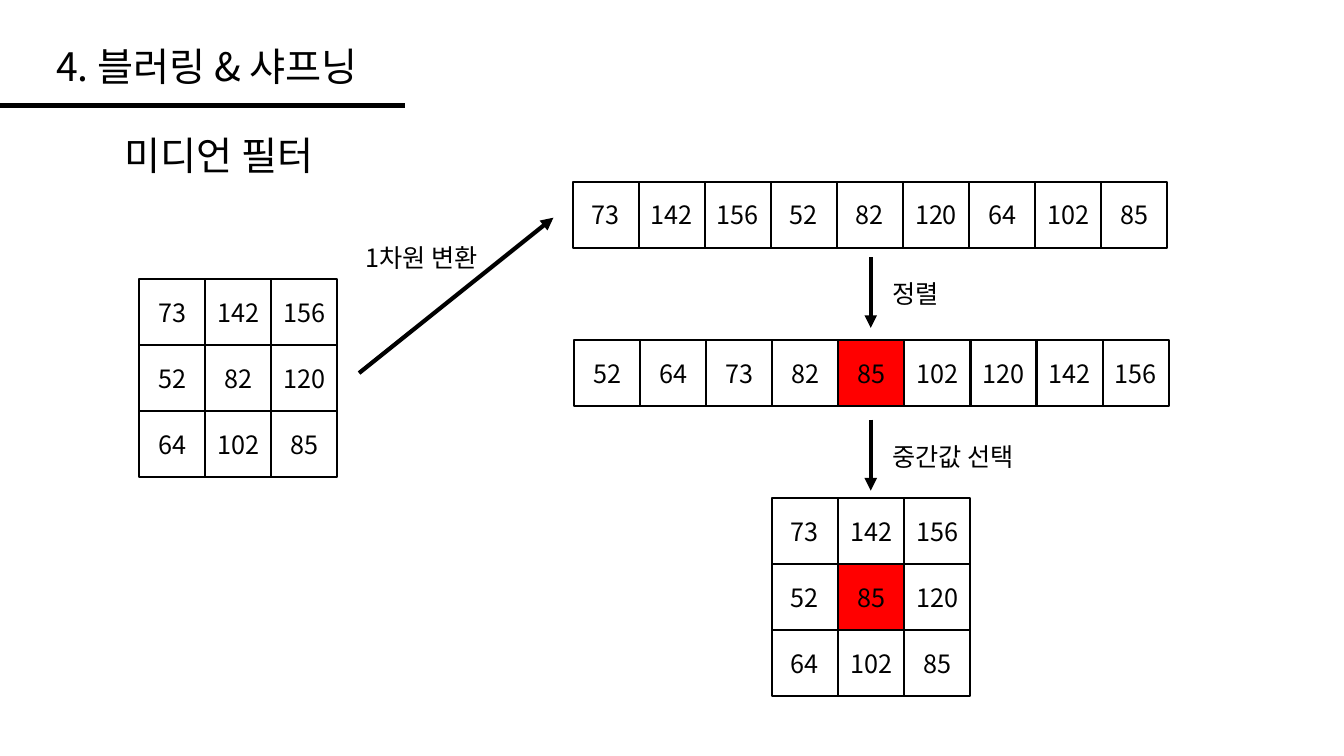
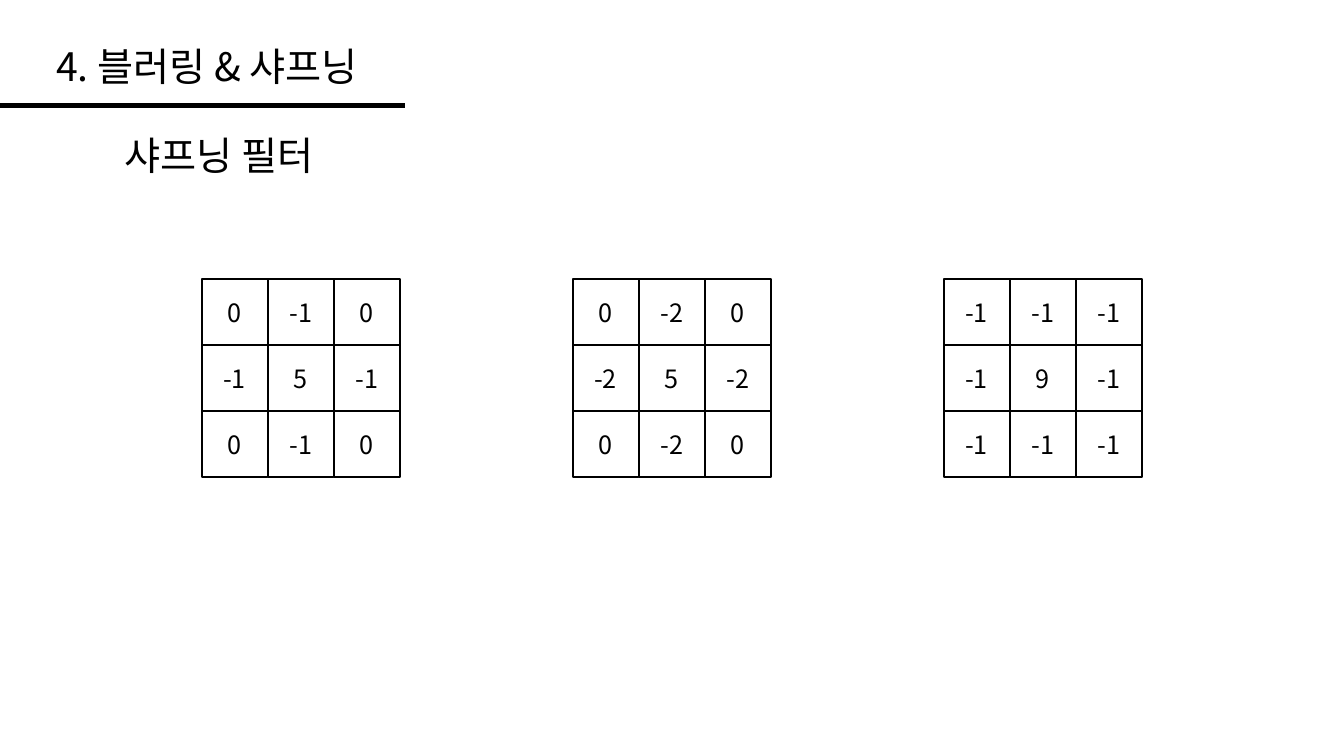
from lxml import etree
from pptx import Presentation
from pptx.dml.color import RGBColor
from pptx.enum.shapes import MSO_CONNECTOR, MSO_SHAPE
from pptx.enum.text import MSO_ANCHOR, MSO_AUTO_SIZE, PP_ALIGN
from pptx.oxml.ns import qn
from pptx.util import Pt

STRAIGHT = MSO_CONNECTOR.STRAIGHT
RECTANGLE = MSO_SHAPE.RECTANGLE
MIDDLE, TOP = MSO_ANCHOR.MIDDLE, MSO_ANCHOR.TOP
CENTER, LEFT = PP_ALIGN.CENTER, PP_ALIGN.LEFT
FIT_SHAPE = MSO_AUTO_SIZE.SHAPE_TO_FIT_TEXT

FONT = "Noto Sans CJK KR"
BLACK, WHITE, RED = "000000", "FFFFFF", "FF0000"
HEADING_SIZE, BODY_SIZE = 28, 18
CELL = 47.2
TITLE = "4. 블러링 & 샤프닝"
TITLE_ONLY = 5
MATRIX_TOP = 199.4

PIXELS = [[73, 142, 156], [52, 82, 120], [64, 102, 85]]
KERNELS = [
    [[0, -1, 0], [-1, 5, -1], [0, -1, 0]],
    [[0, -2, 0], [-2, 5, -2], [0, -2, 0]],
    [[-1, -1, -1], [-1, 9, -1], [-1, -1, -1]],
]


def color(hex_text):
    return RGBColor.from_string(hex_text)


def write(shape, text, size, align=CENTER, anchor=TOP):
    frame = shape.text_frame
    frame.word_wrap = True
    frame.vertical_anchor = anchor
    frame.text = text
    para = frame.paragraphs[0]
    para.alignment = align
    for span in para.runs:
        span.font.size = Pt(size)
        span.font.color.rgb = color(BLACK)
        span.font.name = FONT
        east_asian = etree.SubElement(span.font._element, qn("a:ea"))
        east_asian.set("typeface", FONT)


def add_label(page, text, left, top, width, height=29.1, size=BODY_SIZE, align=CENTER):
    box = page.shapes.add_textbox(Pt(left), Pt(top), Pt(width), Pt(height))
    write(box, text, size, align)
    box.text_frame.auto_size = FIT_SHAPE


def add_line(page, start, end, weight, arrow=False):
    line = page.shapes.add_connector(STRAIGHT, *map(Pt, start + end))
    line.line.color.rgb = color(BLACK)
    line.line.width = Pt(weight)
    if arrow:
        outline = line.line._get_or_add_ln()
        etree.SubElement(outline, qn("a:tailEnd")).set("type", "triangle")
    etree.SubElement(line._element.spPr, qn("a:effectLst"))


def add_matrix(page, rows, left, top, marked=None):
    """Draw a group of square cells; marked is the (row, column) shown in red."""
    group = page.shapes.add_group_shape()
    for i, row in enumerate(rows):
        for j, value in enumerate(row):
            cell = group.shapes.add_shape(
                RECTANGLE, Pt(left + j * CELL), Pt(top + i * CELL), Pt(CELL), Pt(CELL))
            cell.shadow.inherit = False
            cell.fill.solid()
            cell.fill.fore_color.rgb = color(RED if (i, j) == marked else WHITE)
            cell.line.color.rgb = color(BLACK)
            cell.line.width = Pt(1.5)
            write(cell, str(value), BODY_SIZE, anchor=MIDDLE)


def add_page(deck, subtitle):
    page = deck.slides.add_slide(deck.slide_layouts[TITLE_ONLY])
    title = page.shapes.title
    title.left, title.top, title.width, title.height = map(Pt, (33, 26.6, 447, 41.2))
    write(title, TITLE, HEADING_SIZE, LEFT)
    title.text_frame.auto_size = FIT_SHAPE
    add_label(page, subtitle, 82, 90, 789, 41.2, HEADING_SIZE, LEFT)
    add_line(page, (0, 75.6), (289.4, 75.6), 3.5)
    return page


def build_median_filter(deck):
    page = add_page(deck, "미디언 필터")
    flat = sum(PIXELS, [])
    ordered = sorted(flat)
    middle = len(ordered) // 2
    filtered = [list(row) for row in PIXELS]
    filtered[1][1] = ordered[middle]

    add_matrix(page, PIXELS, 99.4, MATRIX_TOP)
    add_matrix(page, [flat], 409, 129.8)
    add_matrix(page, [ordered], 410, 242.8, marked=(0, middle))
    add_matrix(page, filtered, 551.4, 355.8, marked=(1, 1))

    add_line(page, (256.5, 266.5), (395.3, 155.5), 3, arrow=True)
    add_label(page, "1차원 변환", 252.7, 169.2, 97.2)
    for text, width, arrow_top, label_top in (
            ("정렬", 62, 183.6, 195.1), ("중간값 선택", 116, 299.8, 311.8)):
        add_line(page, (622, arrow_top), (622, arrow_top + 50.6), 3, arrow=True)
        add_label(page, text, 622.8, label_top, width)


def build_sharpening_filter(deck):
    page = add_page(deck, "샤프닝 필터")
    for i, kernel in enumerate(KERNELS):
        add_matrix(page, kernel, 144 + i * 265, MATRIX_TOP)


def main():
    deck = Presentation()
    deck.slide_width, deck.slide_height = Pt(960), Pt(540)
    build_median_filter(deck)
    build_sharpening_filter(deck)
    deck.save("out.pptx")


if __name__ == "__main__":
    main()
